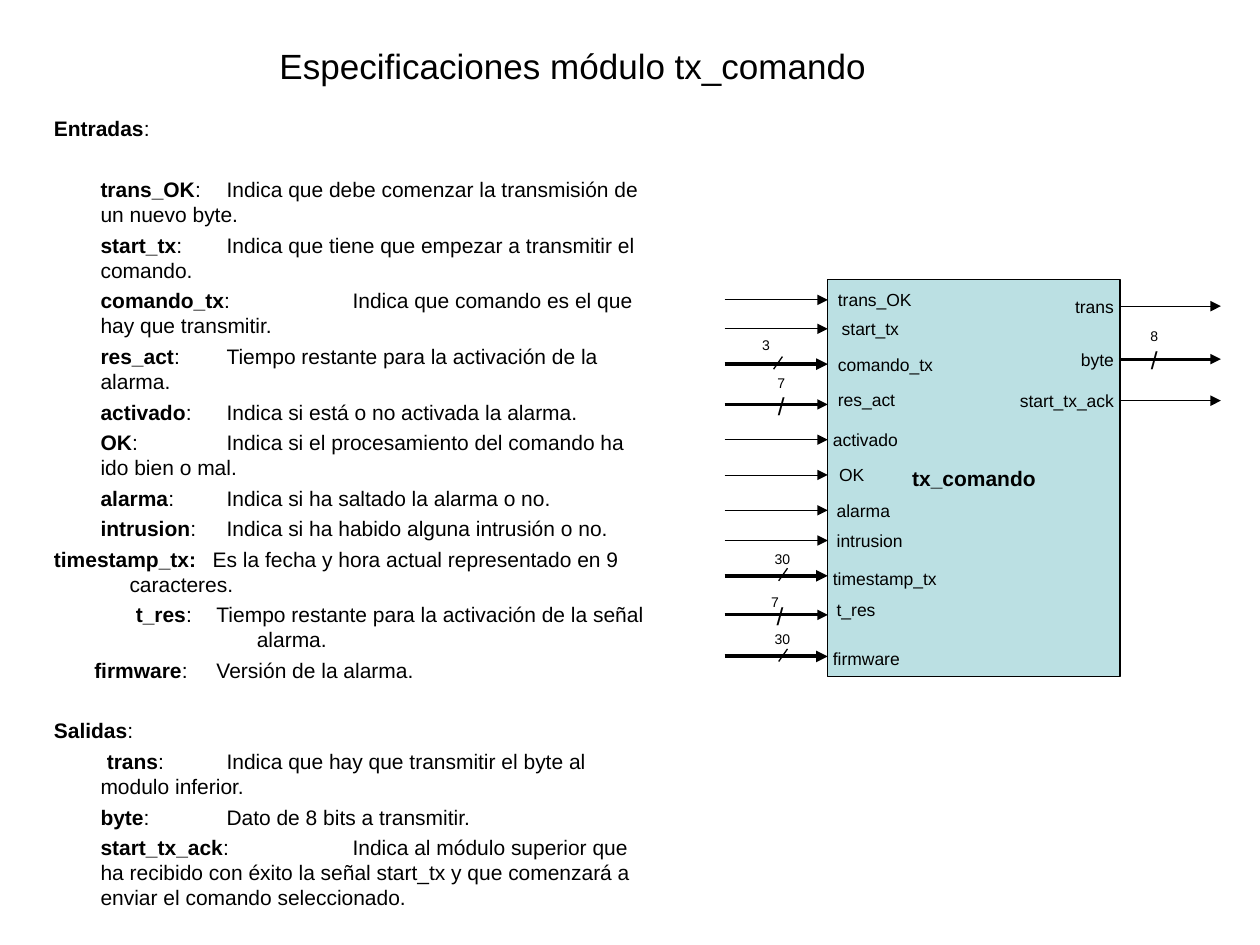
from lxml import etree
from pptx import Presentation
from pptx import util as u
from pptx.dml.color import RGBColor
from pptx.enum import shapes, text
from pptx.oxml import ns

COLORS = {"ink": "000000", "module": "BBE0E3"}
INK = RGBColor.from_string(COLORS["ink"])
LEFT, CENTER, RIGHT = text.PP_ALIGN.LEFT, text.PP_ALIGN.CENTER, text.PP_ALIGN.RIGHT

deck = Presentation()
deck.slide_width, deck.slide_height = u.Inches(10), u.Inches(7.5)
page = deck.slides.add_slide(deck.slide_layouts[6])


def add_text(words, left, top, width, height, sizes, align=LEFT, wrap=False, inset=0.04):
    """Add a vertically centred text box, with one size per paragraph."""
    box = page.shapes.add_textbox(*map(u.Inches, (left, top, width, height)))
    frame = box.text_frame
    frame.text = words
    frame.word_wrap = wrap
    frame.vertical_anchor = text.MSO_ANCHOR.MIDDLE
    frame.margin_left = frame.margin_right = u.Inches(inset)
    frame.margin_top = frame.margin_bottom = 0
    for para, size in zip(frame.paragraphs, sizes):
        para.alignment = align
        for span in para.runs:
            span.font.name, span.font.size = "Arial", u.Pt(size)
            span.font.color.rgb = INK


def add_line(x1, y1, x2, y2, weight, arrow=True):
    """Add a straight black line, with an arrowhead at its end if wanted."""
    line = page.shapes.add_connector(
        shapes.MSO_CONNECTOR.STRAIGHT, *map(u.Inches, (x1, y1, x2, y2)))
    line.line.color.rgb, line.line.width = INK, u.Pt(weight)
    if arrow:
        outline = line.line._get_or_add_ln()
        etree.SubElement(outline, ns.qn("a:tailEnd"), type="triangle")
    etree.SubElement(line._element.spPr, ns.qn("a:effectLst"))


# Title
add_text("Especificaciones módulo tx_comando", 2.12, 0.28, 7.8, 0.48, [20], inset=0.1)

# Signal descriptions: name, rest, left margin, first-line indent, gap before, tab interval
GAP, WIDE_GAP = 3, 20.2
SIGNAL = (0.37, 0, GAP, 1)
descriptions = [
    ("Entradas", ":", 0, 0, GAP, 1),
    ("trans_OK", ":\tIndica que debe comenzar la transmisión de un nuevo byte.",
     0.37, 0, WIDE_GAP, 1),
    ("start_tx", ":\tIndica que tiene que empezar a transmitir el comando.", *SIGNAL),
    ("comando_tx", ":\tIndica que comando es el que hay que transmitir.", *SIGNAL),
    ("res_act", ":\tTiempo restante para la activación de la alarma.", *SIGNAL),
    ("activado", ":\tIndica si está o no activada la alarma.", *SIGNAL),
    ("OK", ":\tIndica si el procesamiento del comando ha ido bien o mal.", *SIGNAL),
    ("alarma", ":\tIndica si ha saltado la alarma o no.", *SIGNAL),
    ("intrusion", ":\tIndica si ha habido alguna intrusión o no.", *SIGNAL),
    ("timestamp_tx:", "\tEs la fecha y hora actual representado en 9 caracteres.",
     0.6, -0.6, GAP, 0.66),
    ("t_res", ":\tTiempo restante para la activación de la señal\n\t\t\talarma.",
     0.65, 0, GAP, 0.32),
    ("firmware", ":\tVersión de la alarma.", 0.32, 0, GAP, 0.97),
    ("Salidas", ":", 0, 0, WIDE_GAP, 1),
    ("trans", ":\tIndica que hay que transmitir el byte al modulo inferior.",
     0.37, 0.05, GAP, 1),
    ("byte", ":\tDato de 8 bits a transmitir.", *SIGNAL),
    ("start_tx_ack", ":\tIndica al módulo superior que ha recibido con éxito la señal "
     "start_tx y que comenzará a enviar el comando seleccionado.", *SIGNAL),
]
box = page.shapes.add_textbox(*map(u.Inches, (0.33, 0.87, 4.9, 6.48)))
frame = box.text_frame
frame.word_wrap = True
for index, (name, rest, margin, indent, gap, interval) in enumerate(descriptions):
    para = frame.add_paragraph() if index else frame.paragraphs[0]
    para.text = name
    para.runs[0].font.bold = True
    for number, part in enumerate(rest.split("\n")):
        if number:
            para.add_line_break()
        para.add_run().text = part
    for span in para.runs:
        span.font.name, span.font.size = "Arial", u.Pt(12)
        span.font.color.rgb = INK
    para.space_before = u.Pt(gap)
    props = para._p.get_or_add_pPr()
    for key, length in [("marL", margin), ("indent", indent), ("defTabSz", interval)]:
        props.set(key, str(u.Inches(length)))

# Module block
module = page.shapes.add_shape(
    shapes.MSO_SHAPE.RECTANGLE, *map(u.Inches, (6.57, 2.22, 2.32, 3.15)))
module.shadow.inherit = False
module.fill.solid()
module.fill.fore_color.rgb = RGBColor.from_string(COLORS["module"])
module.line.color.rgb, module.line.width = INK, u.Pt(0.75)
module.text_frame.text = "tx_comando"
module.text_frame.vertical_anchor = text.MSO_ANCHOR.MIDDLE
para = module.text_frame.paragraphs[0]
para.alignment = CENTER
font = para.runs[0].font
font.name, font.size, font.bold, font.color.rgb = "Arial", u.Pt(12), True, INK

# Inputs: name, label left, label centre, arrow height, arrow weight
inputs = [
    ("trans_OK", 6.61, 2.38, 2.38, 0.5),
    ("start_tx", 6.64, 2.61, 2.61, 0.5),
    ("comando_tx", 6.61, 2.89, 2.89, 2.25),
    ("res_act", 6.61, 3.17, 3.21, 1.75),
    ("activado", 6.57, 3.49, 3.49, 0.5),
    ("OK", 6.62, 3.77, 3.77, 0.5),
    ("alarma", 6.6, 4.05, 4.05, 0.5),
    ("intrusion", 6.6, 4.29, 4.29, 0.5),
    ("timestamp_tx", 6.57, 4.59, 4.57, 2.25),
    ("t_res", 6.6, 4.84, 4.88, 1.75),
    ("firmware", 6.57, 5.23, 5.21, 2.25),
]
for name, left, middle, y, weight in inputs:
    add_text(name, left, middle - 0.12, 0.95, 0.24, [10])
    add_line(5.75, y, 6.57, y, weight)

# Outputs: name, arrow height, arrow weight
for name, y, weight in [("trans", 2.43, 0.75), ("byte", 2.85, 1.75),
                        ("start_tx_ack", 3.18, 0.75)]:
    add_text(name, 7.93, y - 0.12, 0.95, 0.24, [10], RIGHT)
    add_line(8.88, y, 9.69, y, weight)

# Bus widths
for words, left, top, width, height, sizes in [
        ("3", 5.97, 2.67, 0.22, 0.13, [8]),
        ("30", 6.1, 4.37, 0.22, 0.13, [8]),
        ("30", 6.1, 5.01, 0.22, 0.13, [8]),
        ("7", 6.04, 4.71, 0.22, 0.13, [8]),
        ("/", 6.03, 4.77, 0.32, 0.24, [14]),
        ("7\n/", 6.04, 2.97, 0.32, 0.37, [8, 14]),
        ("8\n/", 9, 2.6, 0.32, 0.37, [8, 14])]:
    add_text(words, left, top, width, height, sizes, CENTER, True, 0)

# Bus slashes
for x, y in [(6.14, 2.93), (6.18, 4.61), (6.18, 5.25)]:
    add_line(x, y, x + 0.07, y - 0.1, 0.75, arrow=False)

deck.save("out.pptx")
